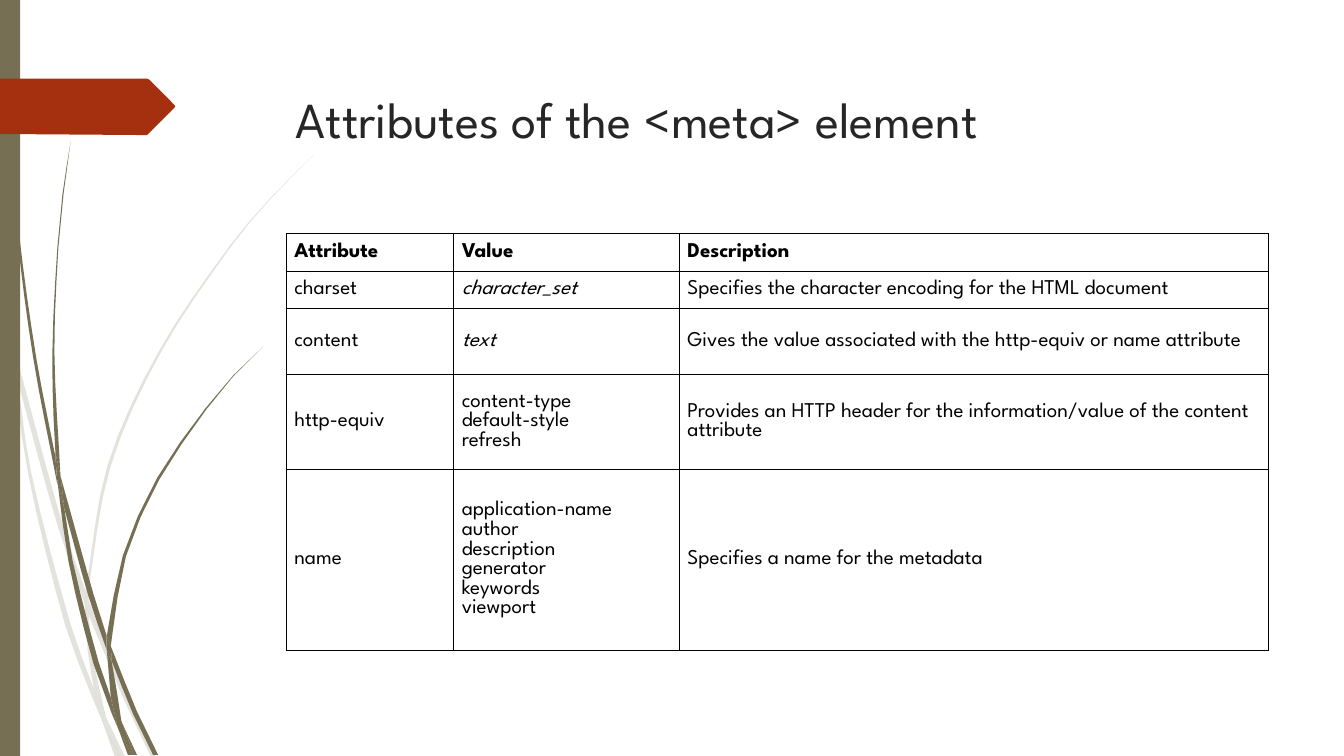
from copy import deepcopy
from dataclasses import dataclass
from math import dist

from lxml import etree
from pptx import Presentation
from pptx.dml import color as dml
from pptx.enum import shapes as shape_enum
from pptx.enum import text as text_enum
from pptx.oxml import ns
from pptx.shapes import autoshape, shapetree
from pptx.table import _Cell
from pptx.text import text as text_parts
from pptx.util import Cm, Length, Pt

Point = tuple[float, float]
Edge = list[Point]

FONT = "League Spartan"
BLACK = dml.RGBColor(0x00, 0x00, 0x00)
TITLE_GREY = dml.RGBColor(0x26, 0x26, 0x26)
OLIVE = dml.RGBColor(0x76, 0x6F, 0x54)
RUST = dml.RGBColor(0xA5, 0x30, 0x10)
GRID_UNIT = 0.0254
STEP_LENGTH = 35


@dataclass(frozen=True)
class Plant:
    opacity: int
    leaves: list[list[Edge]]


@dataclass(frozen=True)
class AttributeRow:
    height: float
    cells: tuple[str, str, str]
    bold: bool = False
    italic_value: bool = False


PALE_PLANT = Plant(20, [
    [[(0, 282), (8, 322), (11, 350)], [(10, 344), (0, 299)]],
    [[(14, 345), (62, 520), (85, 586)], [(84, 599), (57, 521), (17, 376)]],
    [[(88, 596), (127, 692), (155, 751)], [(150, 751), (123, 694), (88, 610)]],
    [[(105, 711), (124, 751)], [(119, 751)]],
    [[(11, 350), (17, 376), (31, 469), (70, 619), (93, 683)],
     [(101, 714), (92, 693), (65, 621), (28, 470), (11, 350)]],
    [[(84, 599), (88, 610), (91, 646), (105, 711)], [(93, 683), (87, 646), (84, 599)]],
    [[(85, 586), (107, 461), (158, 348), (228, 244), (268, 197), (312, 153)],
     [(312, 153), (268, 198), (229, 245), (160, 349), (110, 462), (88, 584), (88, 596)]],
    [[(101, 714), (119, 751)], [(114, 751)]],
    [[(85, 586), (88, 596)], [(88, 610), (84, 599)]],
    [[(93, 683), (105, 711), (119, 751)], [(101, 714), (93, 683)]],
])

DARK_PLANT = Plant(100, [
    [[(3, 0), (3, 48), (7, 110), (17, 233), (33, 355), (57, 481)],
     [(55, 453), (36, 355), (19, 232), (8, 109), (5, 48), (3, 0)]],
    [[(60, 472), (93, 590), (106, 631)], [(106, 645), (88, 592), (64, 505)]],
    [[(110, 641), (136, 706), (157, 749)], [(152, 749), (132, 708), (111, 656)]],
    [[(57, 477), (64, 505), (72, 556), (98, 657), (110, 692)],
     [(117, 722), (111, 708), (93, 659), (68, 557), (57, 477)]],
    [[(70, 141), (62, 193), (57, 245), (52, 349), (55, 449), (60, 472)],
     [(60, 472), (54, 349), (58, 245), (63, 193), (70, 141)]],
    [[(122, 719), (136, 749)], [(133, 749)]],
    [[(55, 449), (60, 472)], [(64, 505), (57, 478), (55, 454)]],
    [[(106, 631), (122, 551), (156, 474), (204, 405), (231, 373), (261, 344)],
     [(261, 344), (231, 374), (205, 406), (158, 476), (125, 552), (111, 633), (110, 641)]],
    [[(117, 722), (131, 749)], [(127, 749)]],
    [[(106, 645), (111, 657), (121, 719)], [(110, 692), (106, 645)]],
    [[(106, 631), (110, 641)], [(111, 656), (106, 645)]],
    [[(110, 692), (122, 719), (133, 749)], [(131, 749), (117, 722), (110, 692)]],
])

BANNER = [(0, 78), (146, 78), (148, 79), (173, 104), (174, 105.5),
          (173, 107), (148, 132), (146, 134), (136, 134), (0, 133)]

COLUMN_WIDTHS = [4.22, 5.69, 14.86]
ROWS = [
    AttributeRow(0.94, ("Attribute", "Value", "Description"), bold=True),
    AttributeRow(0.95, ("charset", "character_set",
                        "Specifies the character encoding for the HTML document"), italic_value=True),
    AttributeRow(1.65, ("content", "text",
                        "Gives the value associated with the http-equiv or name attribute"), italic_value=True),
    AttributeRow(2.4, ("http-equiv", "content-type\ndefault-style\nrefresh",
                       "Provides an HTTP header for the information/value of the content attribute")),
    AttributeRow(4.55, ("name", "application-name\nauthor\ndescription\ngenerator\nkeywords\nviewport",
                        "Specifies a name for the metadata")),
]


def smooth(edge: Edge) -> Edge:
    if len(edge) < 3:
        return edge
    gaps = [dist(start, end) for start, end in zip(edge, edge[1:])]
    last = len(edge) - 1
    slopes = []
    for i in range(len(edge)):
        before, after = max(i - 1, 0), min(i + 1, last)
        span = sum(gaps[before:after])
        slopes.append([(edge[after][axis] - edge[before][axis]) / span for axis in (0, 1)])
    points = [edge[0]]
    for i, gap in enumerate(gaps):
        steps = max(1, round(gap / STEP_LENGTH))
        for step in range(1, steps + 1):
            t = step / steps
            x, y = ((2 * t**3 - 3 * t**2 + 1) * edge[i][axis]
                    + (t**3 - 2 * t**2 + t) * gap * slopes[i][axis]
                    + (3 * t**2 - 2 * t**3) * edge[i + 1][axis]
                    + (t**3 - t**2) * gap * slopes[i + 1][axis] for axis in (0, 1))
            points.append((x, y))
    return points


def paint(shape: autoshape.Shape, color: dml.RGBColor, opacity: int = 100) -> None:
    shape.shadow.inherit = False
    shape.fill.solid()
    shape.fill.fore_color.rgb = color
    shape.line.fill.background()
    if opacity < 100:
        fill_color = shape._element.spPr.find(ns.qn("a:solidFill"))[0]
        etree.SubElement(fill_color, ns.qn("a:alpha"), val=str(opacity * 1000))


def add_outline(shapes: shapetree._BaseGroupShapes, outline: Edge,
                color: dml.RGBColor, opacity: int = 100) -> None:
    points = [(Cm(x * GRID_UNIT), Cm(y * GRID_UNIT)) for x, y in outline]
    builder = shapes.build_freeform(*points[0])
    builder.add_line_segments(points[1:], close=True)
    paint(builder.convert_to_shape(), color, opacity)


def add_plant(shapes: shapetree.SlideShapes, plant: Plant) -> None:
    group = shapes.add_group_shape()
    for leaf in plant.leaves:
        outline = [point for edge in leaf for point in smooth(edge)]
        add_outline(group.shapes, outline, OLIVE, plant.opacity)


def write(frame: text_parts.TextFrame, content: str, *, size: float,
          color: dml.RGBColor = BLACK, bold: bool = False, italic: bool = False) -> None:
    frame.word_wrap = True
    paragraph = frame.paragraphs[0]
    paragraph.text = content
    for run in paragraph.runs:
        run.font.name = FONT
        run.font.size = Pt(size)
        run.font.bold = bold
        run.font.italic = italic
        run.font.color.rgb = color
    for line_break in paragraph._p.findall(ns.qn("a:br")):
        line_break.append(deepcopy(paragraph.runs[0]._r.rPr))


def add_borders(cell: _Cell, width: Length) -> None:
    properties = cell._tc.get_or_add_tcPr()
    for position, side in enumerate(("lnL", "lnR", "lnT", "lnB")):
        line = etree.Element(ns.qn(f"a:{side}"), w=str(int(width)))
        fill = etree.SubElement(line, ns.qn("a:solidFill"))
        etree.SubElement(fill, ns.qn("a:srgbClr"), val=str(BLACK))
        properties.insert(position, line)


def add_attribute_table(shapes: shapetree.SlideShapes) -> None:
    frame = shapes.add_table(len(ROWS), len(COLUMN_WIDTHS), Cm(7.21), Cm(5.89),
                             Cm(sum(COLUMN_WIDTHS)), Cm(sum(row.height for row in ROWS)))
    table = frame.table
    table.first_row = table.horz_banding = False
    for column, width in zip(table.columns, COLUMN_WIDTHS):
        column.width = Cm(width)
    for row_index, row in enumerate(ROWS):
        table.rows[row_index].height = Cm(row.height)
        for column_index, content in enumerate(row.cells):
            cell = table.cell(row_index, column_index)
            cell.fill.background()
            cell.vertical_anchor = text_enum.MSO_ANCHOR.MIDDLE
            cell.margin_left = cell.margin_right = Cm(0.21)
            cell.margin_top = cell.margin_bottom = Cm(0.12)
            write(cell.text_frame, content, size=15, bold=row.bold,
                  italic=row.italic_value and column_index == 1)
            add_borders(cell, Pt(0.45))


def main() -> None:
    presentation = Presentation()
    presentation.slide_width, presentation.slide_height = Cm(33.88), Cm(19.05)
    slide = presentation.slides.add_slide(presentation.slide_layouts[6])
    for plant in (PALE_PLANT, DARK_PLANT):
        add_plant(slide.shapes, plant)
    side_bar = slide.shapes.add_shape(shape_enum.MSO_SHAPE.RECTANGLE, 0, 0, Cm(0.51), Cm(19.05))
    paint(side_bar, OLIVE)
    add_outline(slide.shapes, BANNER, RUST)
    title = slide.shapes.add_textbox(Cm(7.21), Cm(1.73), Cm(24.77), Cm(3.56))
    title.text_frame.margin_top = Cm(0.48)
    write(title.text_frame, "Attributes of the <meta> element", size=36, color=TITLE_GREY)
    add_attribute_table(slide.shapes)
    presentation.save("out.pptx")


if __name__ == "__main__":
    main()
